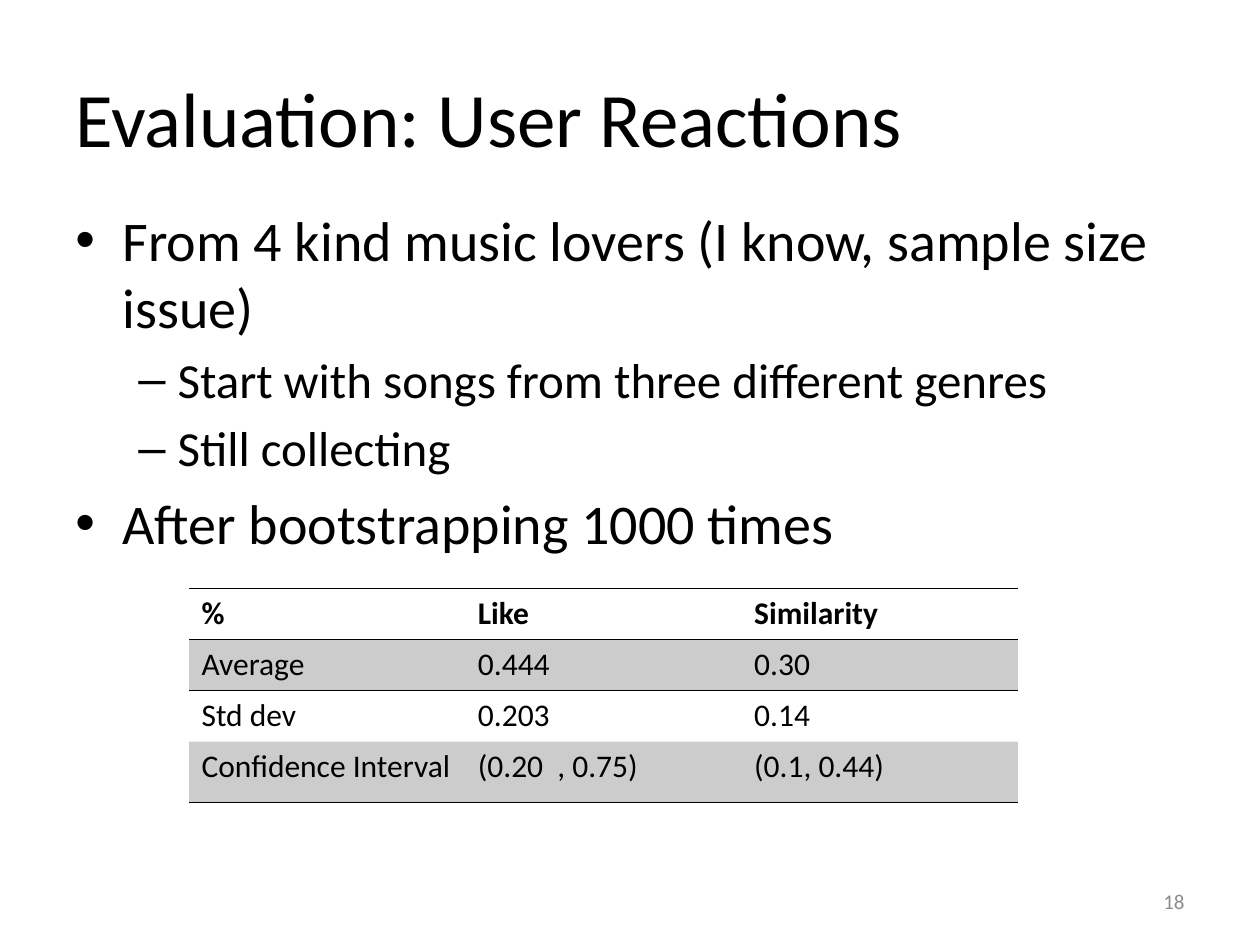
from dataclasses import dataclass

from lxml.etree import SubElement
from pptx import Presentation
from pptx.dml.color import RGBColor
from pptx.enum.text import MSO_ANCHOR as Anchor, PP_ALIGN as Align
from pptx.oxml import parse_xml
from pptx.oxml.ns import nsdecls, qn
from pptx.util import Cm, Pt


@dataclass(frozen=True)
class Theme:
    font: str = "Calibri"
    ink: str = "000000"
    muted: str = "8C8C8C"
    band_alpha: int = 20000
    title: int = 44
    levels: tuple = (32, 28)
    table: int = 18
    number: int = 12


theme = Theme()
NO_STYLE = "{2D5ABB26-0587-4C30-8999-92F81FD0307C}"


def add_run(paragraph, text, size, color=theme.ink, bold=False):
    run = paragraph.add_run()
    run.text = text
    run.font.name = theme.font
    run.font.size = Pt(size)
    run.font.bold = bold
    run.font.color.rgb = RGBColor.from_string(color)


def add_frame(left, top, width, height, anchor):
    frame = slide.shapes.add_textbox(Cm(left), Cm(top), Cm(width), Cm(height)).text_frame
    frame.word_wrap = True
    frame.vertical_anchor = anchor
    return frame


deck = Presentation()
deck.slide_width, deck.slide_height = Cm(25.4), Cm(19.05)
slide = deck.slides.add_slide(deck.slide_layouts[6])

# Title
title = add_frame(1.27, 0.76, 22.86, 3.18, Anchor.MIDDLE)
add_run(title.paragraphs[0], "Evaluation: User Reactions", theme.title)

# Bulleted points: level and text
points = [
    (0, "From 4 kind music lovers (I know, sample size issue)"),
    (1, "Start with songs from three different genres"),
    (1, "Still collecting"),
    (0, "After bootstrapping 1000 times"),
]
bullets = [("•", 0.95, 0.95), ("–", 2.06, 0.79)]  # mark, left margin, hanging indent
body = add_frame(1.27, 4.01, 22.86, 13.54, Anchor.TOP)
for index, (level, text) in enumerate(points):
    point = body.add_paragraph() if index else body.paragraphs[0]
    point.level = level
    mark, margin, hanging = bullets[level]
    props = point._p.get_or_add_pPr()
    props.set("marL", str(Cm(margin)))
    props.set("indent", str(-Cm(hanging)))
    SubElement(SubElement(props, qn("a:spcBef")), qn("a:spcPct")).set("val", "20000")
    SubElement(props, qn("a:buFont")).set("typeface", "Arial")
    SubElement(props, qn("a:buChar")).set("char", mark)
    add_run(point, text, theme.levels[level])

# Slide number
number = add_frame(18.21, 17.65, 5.92, 1.02, Anchor.MIDDLE).paragraphs[0]
number.alignment = Align.RIGHT
add_run(number, "18", theme.number, theme.muted)

# Results table: banded odd rows, rules around the header and under the last row
results = [
    ("%", "Like", "Similarity"),
    ("Average", "0.444", "0.30"),
    ("Std dev", "0.203", "0.14"),
    ("Confidence Interval", "(0.20  , 0.75)", "(0.1, 0.44)"),
]
row_heights = [1.03, 1.03, 1.03, 1.23]
rules = {0: ("lnT", "lnB"), 1: ("lnT",), 3: ("lnB",)}
table = slide.shapes.add_table(
    4, 3, Cm(3.81), Cm(11.86), Cm(16.71), Cm(sum(row_heights))
).table
table.first_row = table.horz_banding = False
table._tbl.tblPr.find(qn("a:tableStyleId")).text = NO_STYLE
for column in table.columns:
    column.width = Cm(5.57)

for r, values in enumerate(results):
    table.rows[r].height = Cm(row_heights[r])
    for c, value in enumerate(values):
        cell = table.cell(r, c)
        add_run(cell.text_frame.paragraphs[0], value, theme.table, bold=r == 0)
        if r % 2:
            cell.fill.solid()
            cell.fill.fore_color.rgb = RGBColor.from_string(theme.ink)
            shade = cell._tc.tcPr.find(".//" + qn("a:srgbClr"))
            SubElement(shade, qn("a:alpha")).set("val", str(theme.band_alpha))
        else:
            cell.fill.background()
        for position, side in enumerate(rules.get(r, ())):
            cell._tc.tcPr.insert(position, parse_xml(
                f'<a:{side} {nsdecls("a")} w="{Pt(1)}"><a:solidFill>'
                f'<a:srgbClr val="{theme.ink}"/></a:solidFill></a:{side}>'
            ))

deck.save("out.pptx")
